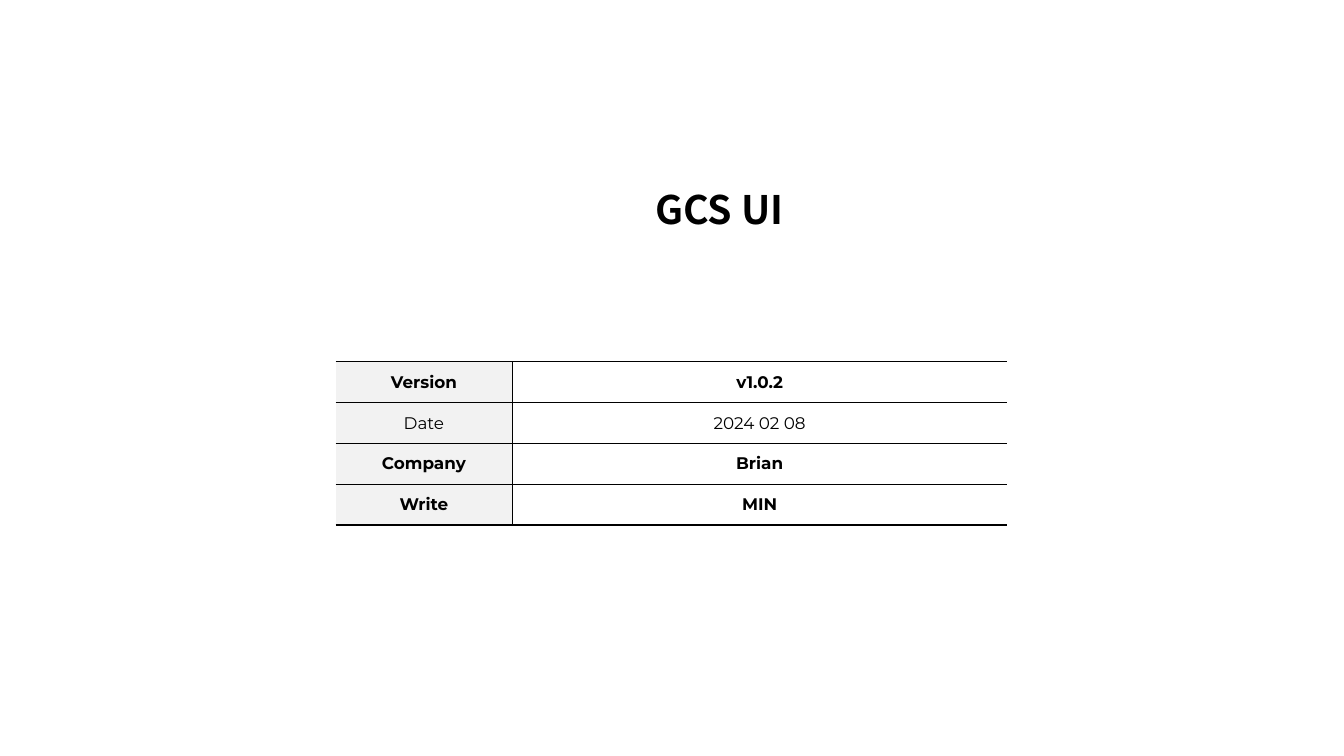
from lxml import etree
from pptx import Presentation
from pptx.dml.color import RGBColor
from pptx.enum import text
from pptx.oxml import ns
from pptx.util import Inches, Pt

COLORS = {"ink": "000000", "label": "F2F2F2", "paper": "FFFFFF"}
ROWS = [("Version", "v1.0.2"), ("Date", "2024 02 08"), ("Company", "Brian"), ("Write", "MIN")]
COLUMN_WIDTHS = [1.75, 4.91]
ROW_HEIGHT = 0.405


def style_run(run, font_name, size, bold):
    run.font.name = font_name
    run.font.size = Pt(size)
    run.font.bold = bold
    run.font.color.rgb = RGBColor.from_string(COLORS["ink"])


def set_borders(cell, visible_sides):
    properties = cell._tc.get_or_add_tcPr()
    for position, side in enumerate("LRTB"):
        line = etree.Element(ns.qn(f"a:ln{side}"), w=str(Pt(1)))
        if side in visible_sides:
            fill = etree.SubElement(line, ns.qn("a:solidFill"))
            etree.SubElement(fill, ns.qn("a:srgbClr"), val=COLORS["ink"])
        else:
            etree.SubElement(line, ns.qn("a:noFill"))
        properties.insert(position, line)


presentation = Presentation()
presentation.slide_width = Inches(13.33)
presentation.slide_height = Inches(7.5)
slide = presentation.slides.add_slide(presentation.slide_layouts[5])

title = slide.shapes.title
title.left, title.top = Inches(6.4), Inches(1.79)
title.width, title.height = Inches(1.54), Inches(0.57)
title_frame = title.text_frame
title_frame.text = "GCS UI"
title_frame.word_wrap = False
title_frame.auto_size = text.MSO_AUTO_SIZE.NONE
title_frame.vertical_anchor = text.MSO_ANCHOR.MIDDLE
title_frame.paragraphs[0].alignment = text.PP_ALIGN.LEFT
style_run(title_frame.paragraphs[0].runs[0], "Noto Sans CJK KR", 28, True)

table = slide.shapes.add_table(
    len(ROWS), len(COLUMN_WIDTHS), Inches(3.33), Inches(3.59),
    Inches(sum(COLUMN_WIDTHS)), Inches(ROW_HEIGHT * len(ROWS))).table
table.first_row = False
table.horz_banding = False
for column, width in zip(table.columns, COLUMN_WIDTHS):
    column.width = Inches(width)

for row_index, values in enumerate(ROWS):
    table.rows[row_index].height = Inches(ROW_HEIGHT)
    for column_index, value in enumerate(values):
        cell = table.cell(row_index, column_index)
        cell.text_frame.text = value
        cell.vertical_anchor = text.MSO_ANCHOR.MIDDLE
        cell.fill.solid()
        fill_name = "label" if column_index == 0 else "paper"
        cell.fill.fore_color.rgb = RGBColor.from_string(COLORS[fill_name])
        set_borders(cell, "RTB" if column_index == 0 else "LTB")
        paragraph = cell.text_frame.paragraphs[0]
        paragraph.alignment = text.PP_ALIGN.CENTER
        style_run(paragraph.runs[0], "Montserrat", 12, values[0] != "Date")

presentation.save("out.pptx")
